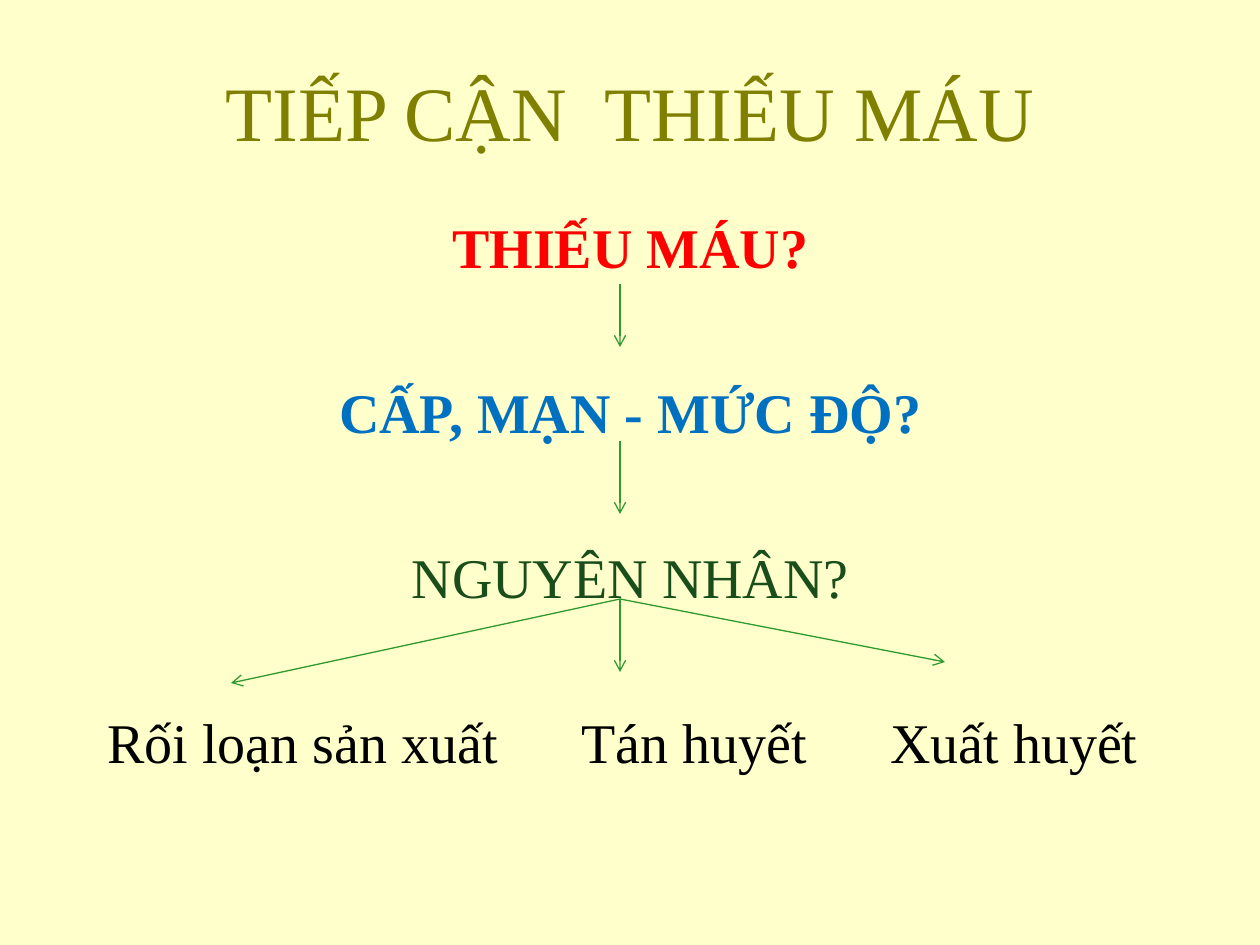
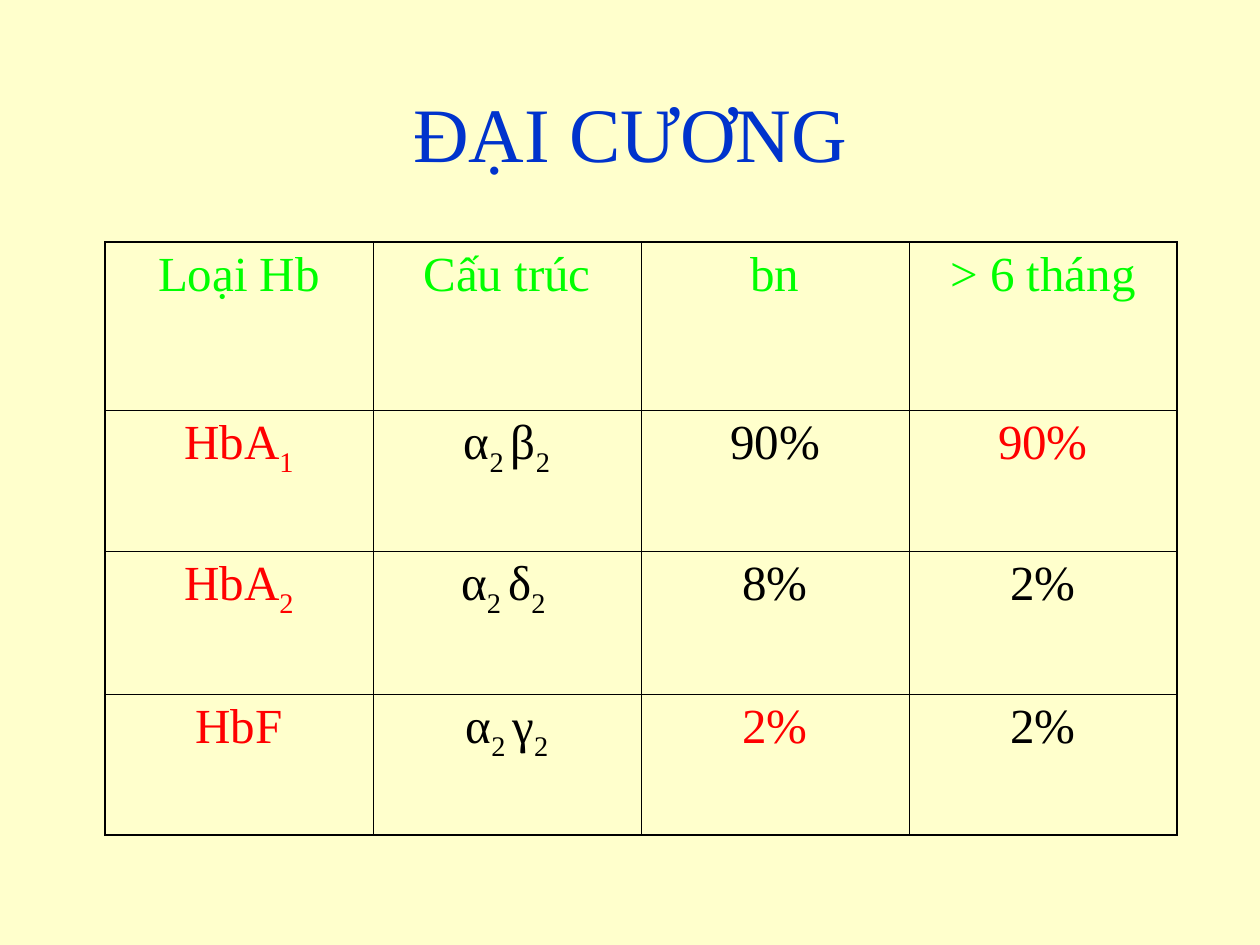
from lxml import etree
from pptx import Presentation
from pptx.dml.color import RGBColor
from pptx.enum.shapes import MSO_CONNECTOR
from pptx.enum.text import MSO_ANCHOR, PP_ALIGN
from pptx.oxml.ns import qn
from pptx.util import Pt

CENTER, LEFT = PP_ALIGN.CENTER, PP_ALIGN.LEFT
TOP, MIDDLE = MSO_ANCHOR.TOP, MSO_ANCHOR.MIDDLE
STRAIGHT = MSO_CONNECTOR.STRAIGHT

CREAM = RGBColor(0xFF, 0xFF, 0xCC)
OLIVE = RGBColor(0x80, 0x80, 0x00)
ROYAL = RGBColor(0x00, 0x33, 0xCC)
RED = RGBColor(0xFF, 0x00, 0x00)
BLUE = RGBColor(0x00, 0x70, 0xC0)
FOREST = RGBColor(0x19, 0x4D, 0x19)
GREEN = RGBColor(0x2F, 0x98, 0x2F)
LIME = RGBColor(0x00, 0xFF, 0x00)
BLACK = RGBColor(0x00, 0x00, 0x00)

FONT = "Times New Roman"
TITLE_SIZE, STEP_SIZE, CELL_SIZE = 44, 32, 28
STEP_GAP = 56
EMU_PER_INCH, PX_PER_INCH = 914400, 126
SLIDE_WIDTH, SLIDE_HEIGHT = 1260, 945
TEXT_LEFT, TEXT_WIDTH, TITLE_HEIGHT = 95, 1071, 158

STEPS = [
    ("THIẾU MÁU?", RED, True, CENTER),
    ("CẤP, MẠN - MỨC ĐỘ?", BLUE, True, CENTER),
    ("NGUYÊN NHÂN?", FOREST, False, CENTER),
    ("\t".join(["Rối loạn sản xuất", "Tán huyết", "Xuất huyết"]), BLACK, False, LEFT),
]
STEPS_TOP, STEPS_HEIGHT = 206, 633
CAUSE_TABS = [474, 783]

AXIS = 620
ARROWS = [
    (284, AXIS, 347),
    (441, AXIS, 514),
    (599, 231, 683),
    (599, AXIS, 672),
    (599, 945, 662),
]

# Each cell alternates normal and subscript runs.
HEMOGLOBIN_ROWS = [
    [["Loại Hb"], ["Cấu trúc"], ["bn"], ["> 6 tháng"]],
    [["HbA", "1"], ["α", "2 ", "β", "2"], ["90%"], ["90%"]],
    [["HbA", "2"], ["α", "2 ", "δ", "2 "], ["8%"], ["2%"]],
    [["HbF"], ["α", "2 ", "γ", "2"], ["2%"], ["2%"]],
]
RED_VALUES = {(1, 3), (3, 2)}
ROW_HEIGHTS = [168, 141, 143, 141]
TABLE_LEFT, TABLE_TOP, COLUMN_WIDTH = 105, 242, 268
OUTER_LINE, INNER_LINE = 1.08, 0.45


def px(value):
    return round(value * EMU_PER_INCH / PX_PER_INCH)


def add_run(paragraph, text, size, color, bold=False):
    run = paragraph.add_run()
    run.text = text
    run.font.name = FONT
    run.font.size = Pt(size)
    run.font.bold = bold
    run.font.color.rgb = color
    return run


def add_text_frame(slide, top, height, anchor):
    box = slide.shapes.add_textbox(px(TEXT_LEFT), px(top), px(TEXT_WIDTH), px(height))
    box.text_frame.word_wrap = True
    box.text_frame.vertical_anchor = anchor
    return box.text_frame


def add_titled_slide(presentation, title, color, top):
    slide = presentation.slides.add_slide(presentation.slide_layouts[6])
    paragraph = add_text_frame(slide, top, TITLE_HEIGHT, MIDDLE).paragraphs[0]
    paragraph.alignment = CENTER
    add_run(paragraph, title, TITLE_SIZE, color)
    return slide


def add_tabs(paragraph, positions):
    tab_list = etree.SubElement(paragraph._p.get_or_add_pPr(), qn("a:tabLst"))
    for position in positions:
        etree.SubElement(tab_list, qn("a:tab"), pos=str(px(position)), algn="l")


def add_steps(slide):
    frame = add_text_frame(slide, STEPS_TOP, STEPS_HEIGHT, TOP)
    for index, (text, color, bold, alignment) in enumerate(STEPS):
        paragraph = frame.add_paragraph() if index else frame.paragraphs[0]
        if index:
            paragraph.space_before = Pt(STEP_GAP)
        paragraph.alignment = alignment
        if "\t" in text:
            add_tabs(paragraph, CAUSE_TABS)
        add_run(paragraph, text, STEP_SIZE, color, bold)


def add_arrow(slide, start_y, end_x, end_y):
    arrow = slide.shapes.add_connector(
        STRAIGHT, px(AXIS), px(start_y), px(end_x), px(end_y))
    arrow.line.color.rgb = GREEN
    arrow.line.width = Pt(0.75)
    etree.SubElement(arrow.line._get_or_add_ln(), qn("a:tailEnd"), type="arrow")
    etree.SubElement(arrow._element.spPr, qn("a:effectLst"))


def set_borders(cell, outer_sides):
    properties = cell._tc.get_or_add_tcPr()
    for side, outer in zip("LRTB", outer_sides):
        width = Pt(OUTER_LINE if outer else INNER_LINE)
        line = etree.SubElement(properties, qn(f"a:ln{side}"), w=str(width))
        fill = etree.SubElement(line, qn("a:solidFill"))
        etree.SubElement(fill, qn("a:srgbClr"), val=str(BLACK))


def cell_color(row, column):
    if row == 0:
        return LIME
    return RED if column == 0 or (row, column) in RED_VALUES else BLACK


def add_hemoglobin_table(slide):
    row_count, column_count = len(HEMOGLOBIN_ROWS), len(HEMOGLOBIN_ROWS[0])
    table = slide.shapes.add_table(
        row_count, column_count, px(TABLE_LEFT), px(TABLE_TOP),
        px(COLUMN_WIDTH * column_count), px(sum(ROW_HEIGHTS))).table
    table.first_row = table.horz_banding = False
    for column in table.columns:
        column.width = px(COLUMN_WIDTH)
    for row, height in zip(table.rows, ROW_HEIGHTS):
        row.height = px(height)
    for row, contents in enumerate(HEMOGLOBIN_ROWS):
        for column, runs in enumerate(contents):
            cell = table.cell(row, column)
            set_borders(cell, (column == 0, column == column_count - 1,
                               row == 0, row == row_count - 1))
            cell.fill.background()
            paragraph = cell.text_frame.paragraphs[0]
            paragraph.alignment = CENTER
            for index, text in enumerate(runs):
                run = add_run(paragraph, text, CELL_SIZE, cell_color(row, column))
                if index % 2:
                    run.font._element.set("baseline", "-25000")


def main():
    presentation = Presentation()
    presentation.slide_width = px(SLIDE_WIDTH)
    presentation.slide_height = px(SLIDE_HEIGHT)
    background = presentation.slide_master.background.fill
    background.solid()
    background.fore_color.rgb = CREAM

    approach = add_titled_slide(presentation, "TIẾP CẬN  THIẾU MÁU", OLIVE, 32)
    add_steps(approach)
    for arrow in ARROWS:
        add_arrow(approach, *arrow)

    overview = add_titled_slide(presentation, "ĐẠI CƯƠNG", ROYAL, 53)
    add_hemoglobin_table(overview)

    presentation.save("out.pptx")


if __name__ == "__main__":
    main()
